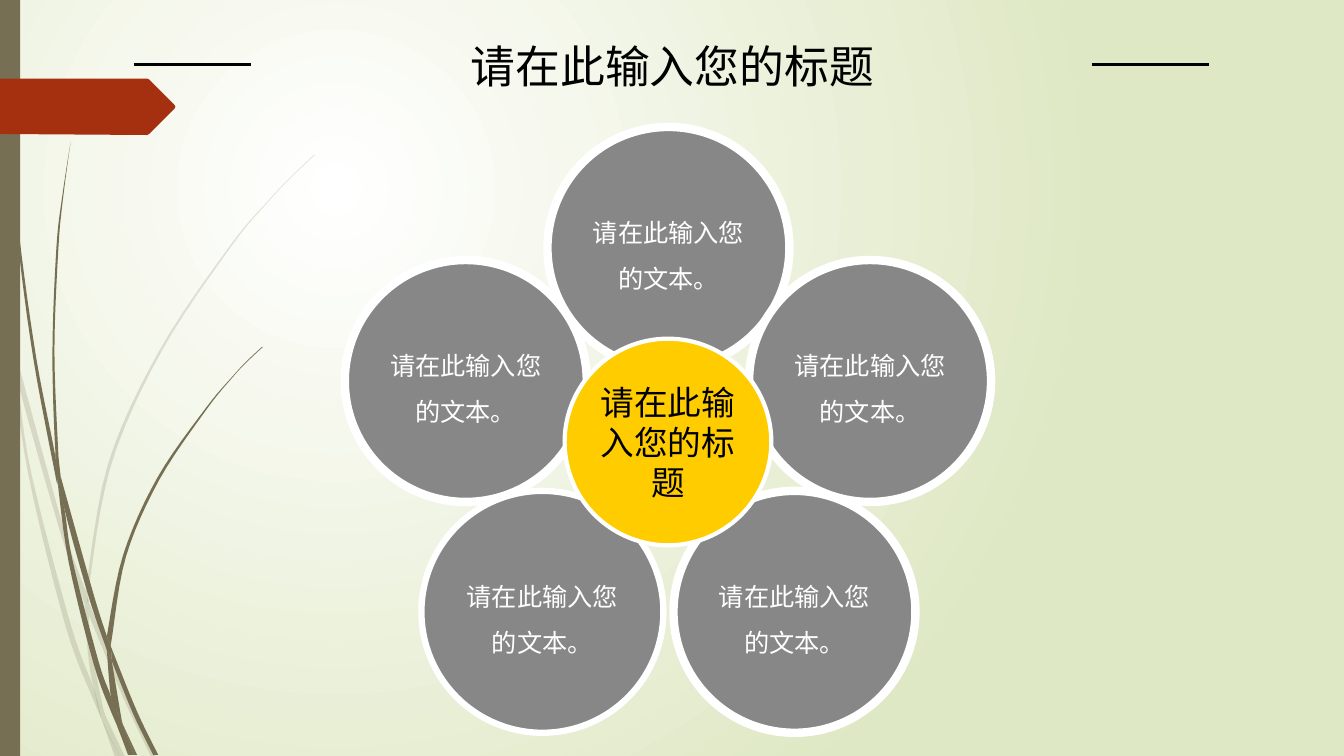
from lxml import etree
from pptx import Presentation
from pptx import util as u
from pptx.dml.color import RGBColor
from pptx.enum import shapes as es, text as et
from pptx.oxml.ns import qn

PX = 9144  # 100 px to the inch
WIDE, HIGH = 1333, 750
FONT = "TeX Gyre Adventor"
HEX = {"white": "FFFFFF", "leaf": "DFE8C4", "stem": "766F54", "tag": "A53010",
       "petal": "878787", "core": "FFCC00", "ink": "000000"}
TITLE = "请在此输入您的标题"
BODY = "请在此输入您的文本。"

# Each blade piece: its two edges, as px points, parted by a bar.
FAINT = """
11,350 9,322 0,282 | 0,299 10,344 11,350
14,345 17,376 58,522 84,599 | 85,586 62,520 14,345
88,596 92,607 127,692 155,751 | 150,751 123,694 88,610
119,751 124,751 | 105,711
11,350 17,376 31,469 70,619 93,683 101,714 | 92,693 65,621 28,470 11,350
84,599 87,646 93,683 105,711 | 103,706 91,646 88,610
312,153 289,175 268,197 228,244 158,348 107,461 85,586 | 88,596 88,584 110,462 160,349 229,245 268,198 290,175 312,154
101,714 114,751 | 119,751
88,610 88,596 | 85,586 84,599
93,683 101,714 119,751 | 105,711 96,692
"""
DARK = """
4,0 4,48 8,109 19,232 36,355 55,453 57,481 | 56,477 33,355 17,233 7,110 4,48 3,0
60,472 64,505 88,592 106,645 | 106,631 93,590 60,472
110,641 113,649 136,706 157,749 | 152,749 132,708 111,656
57,477 64,505 72,556 98,657 110,691 117,722 | 111,708 93,659 68,557 57,477
70,141 62,193 56,245 52,349 55,449 60,472 | 58,453 54,349 58,245 63,193 70,141
133,749 136,749 | 122,719
55,449 60,472 64,505 | 57,477 55,453
260,344 245,358 231,373 204,405 156,474 122,551 106,631 | 110,641 111,633 125,552 158,476 205,406 231,374 245,359 261,344
117,722 127,749 | 131,749
106,645 110,691 116,706 122,719 | 121,716 111,656
106,631 106,645 | 111,656 110,641
110,691 117,722 130,749 | 133,749 122,719 116,706
"""
TAG = [(0, 78), (146, 78), (148, 79), (173, 104), (174, 106),
       (173, 108), (148, 133), (146, 134), (0, 133)]


def emu(*vals):
    return [round(v * PX) for v in vals]


def rgb(name):
    return RGBColor.from_string(HEX[name])


def put(obj, **vals):
    for key, val in vals.items():
        setattr(obj, key, val)


def paint(shape, fill, line=None, width=0):
    shape.shadow.inherit = False
    shape.fill.solid()
    shape.fill.fore_color.rgb = rgb(fill)
    if line:
        shape.line.color.rgb = rgb(line)
        shape.line.width = u.Pt(width)
    else:
        shape.line.fill.background()


def write(shape, words, size, color, space=1.0, pads=None):
    frame = shape.text_frame
    frame.text = words
    put(frame, word_wrap=True, auto_size=et.MSO_AUTO_SIZE.NONE,
        vertical_anchor=et.MSO_ANCHOR.MIDDLE)
    if pads:
        side, end = emu(*pads)
        put(frame, margin_left=side, margin_right=side,
            margin_top=end, margin_bottom=end)
    para = frame.paragraphs[0]
    put(para, alignment=et.PP_ALIGN.CENTER, line_spacing=space)
    put(para.font, name=FONT, size=u.Pt(size))
    para.font.color.rgb = rgb(color)


def curve(pts, steps=6):
    """Smooth an open run of points with a Catmull-Rom spline."""
    if len(pts) < 3:
        return pts
    ends = [pts[0], *pts, pts[-1]]
    out = [pts[0]]
    for a, b, c, d in zip(ends, ends[1:], ends[2:], ends[3:]):
        for n in range(1, steps + 1):
            t = n / steps
            out.append(tuple(
                (2 * q + (r - p) * t + (2 * p - 5 * q + 4 * r - s) * t ** 2
                 + (3 * q - p - 3 * r + s) * t ** 3) / 2
                for p, q, r, s in zip(a, b, c, d)))
    return out


def outline(page, pts, fill):
    pts = [emu(*pt) for pt in pts]
    pen = page.shapes.build_freeform(*pts[0], scale=1.0)
    pen.add_line_segments(pts[1:], close=True)
    shape = pen.convert_to_shape()
    paint(shape, fill)
    return shape


def grass(page, left, top, data, alpha=100):
    for row in data.strip().splitlines():
        pts = []
        for edge in row.split("|"):
            run = [tuple(map(int, pair.split(","))) for pair in edge.split()]
            pts += curve([(left + x, top + y) for x, y in run])
        blade = outline(page, pts, "stem")
        if alpha < 100:
            tint = blade._element.spPr.find(qn("a:solidFill"))[0]
            etree.SubElement(tint, qn("a:alpha"), val=str(alpha * 1000))


def backdrop(page, left, top, high):
    fill = page.background.fill
    fill.gradient()
    for stop, name in zip(fill.gradient_stops, ("white", "leaf")):
        stop.color.rgb = rgb(name)
    grad = page._element.xpath(".//p:bg//a:gradFill")[0]
    grad.remove(grad.find(qn("a:lin")))
    glow = etree.SubElement(grad, qn("a:path"), path="circle")
    etree.SubElement(glow, qn("a:fillToRect"), l="50000", t="50000",
                     r="100000", b="100000")
    grass(page, left, top, FAINT, 20)
    grass(page, left, top, DARK)
    bar = page.shapes.add_shape(es.MSO_SHAPE.RECTANGLE,
                                *emu(left, top, 20, high))
    paint(bar, "stem")
    outline(page, [(left + x, top + y) for x, y in TAG], "tag")


def disc(page, left, top, size, fill, width):
    shape = page.shapes.add_shape(es.MSO_SHAPE.OVAL,
                                  *emu(left, top, size, size))
    paint(shape, fill, "white", width)
    return shape


def flower(page, left, top):
    spots = [(0, 132, 6, 4), (201, 0, 6, 0), (401, 132, 6, 0),
             (326, 361, 6, 0), (76, 361, 4.5, 4)]
    for x, y, width, side in spots:
        petal = disc(page, left + x, top + y, 240, "petal", width)
        write(petal, BODY, 18, "white", 1.5, (side, 5))
    core = disc(page, left + 218, top + 210, 205, "core", 3)
    write(core, TITLE, 24, "ink", pads=(0, 0))


def heading(page, left, top, wide, high):
    title = page.shapes.title
    box = emu(left, top, wide, high)
    put(title, **dict(zip(("left", "top", "width", "height"), box)))
    write(title, TITLE, 32, "ink")
    mid = top + 52
    for x in (left - 120, left + wide + 2):
        rule = page.shapes.add_connector(es.MSO_CONNECTOR.STRAIGHT,
                                         *emu(x, mid, x + 116, mid))
        rule.line.color.rgb = rgb("ink")
        rule.line.width = u.Pt(1.5)
        etree.SubElement(rule._element.spPr, qn("a:effectLst"))


def main():
    deck = Presentation()
    deck.slide_width, deck.slide_height = emu(WIDE, HIGH)
    page = deck.slides.add_slide(deck.slide_layouts.get_by_name("Title Only"))
    backdrop(page, 0, 0, HIGH)
    flower(page, 342, 126)
    heading(page, 253, 12, 828, 106)
    deck.save("out.pptx")


if __name__ == "__main__":
    main()
